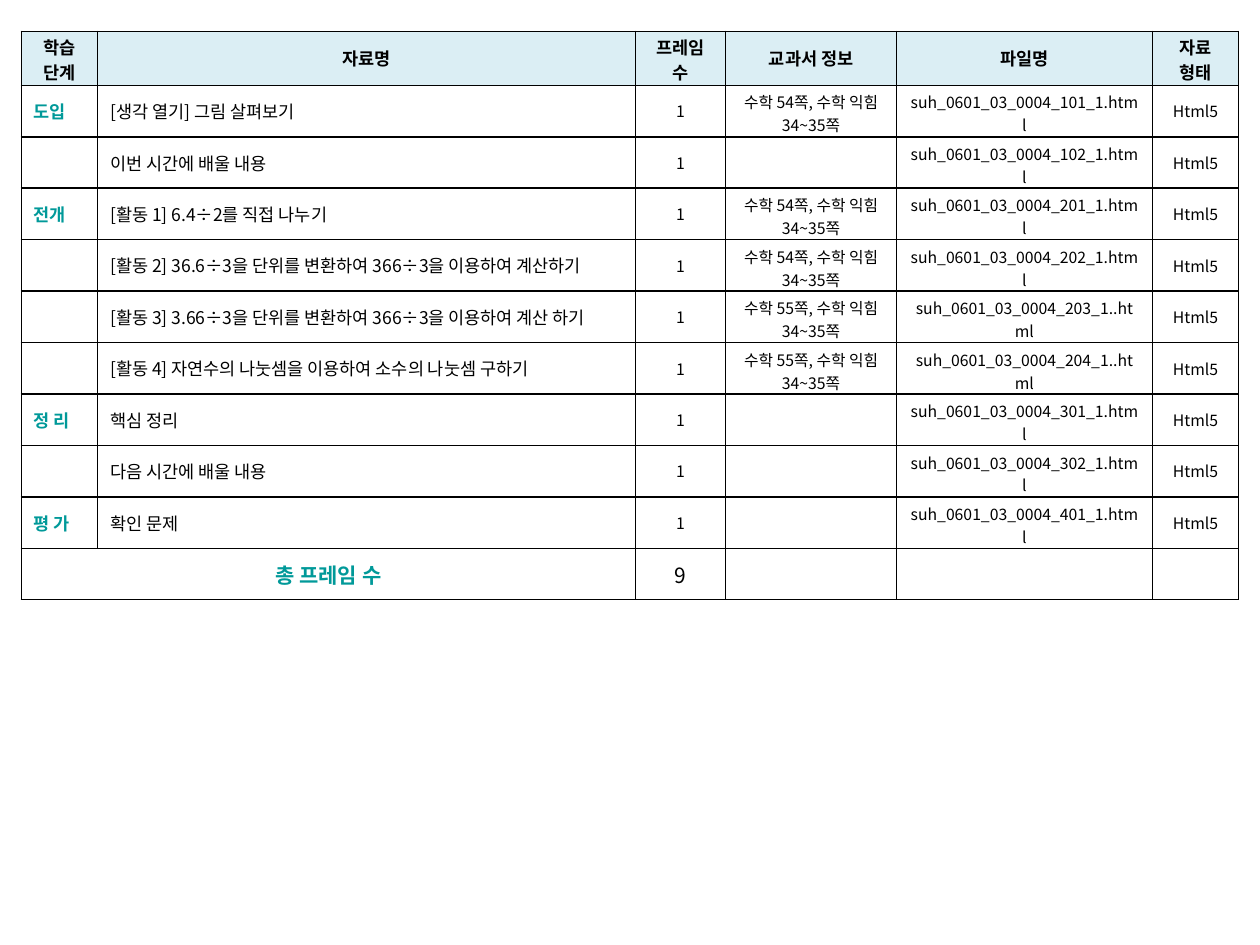
from lxml import etree
from pptx import Presentation
from pptx import util as u
from pptx.dml.color import RGBColor
from pptx.enum import text
from pptx.oxml.ns import qn

FONT = "Noto Sans CJK KR"
BLACK = RGBColor(0, 0, 0)
TEAL = RGBColor(0x00, 0x99, 0x99)
HEADER_FILL = RGBColor(0xDB, 0xEE, 0xF4)

# Content: stage, material, textbook pages, file name
HEADERS = ["학습 단계", "자료명", "프레임 수", "교과서 정보", "파일명", "자료\n형태"]
PAGES_54 = "수학 54쪽, 수학 익힘 34~35쪽"
PAGES_55 = "수학 55쪽, 수학 익힘 34~35쪽"
LESSONS = [
    ("도입", "[생각 열기] 그림 살펴보기", PAGES_54, "suh_0601_03_0004_101_1.html"),
    ("", "이번 시간에 배울 내용", "", "suh_0601_03_0004_102_1.html"),
    ("전개", "[활동 1] 6.4÷2를 직접 나누기", PAGES_54, "suh_0601_03_0004_201_1.html"),
    ("", "[활동 2] 36.6÷3을 단위를 변환하여 366÷3을 이용하여 계산하기", PAGES_54,
     "suh_0601_03_0004_202_1.html"),
    ("", "[활동 3] 3.66÷3을 단위를 변환하여 366÷3을 이용하여 계산 하기", PAGES_55,
     "suh_0601_03_0004_203_1..html"),
    ("", "[활동 4] 자연수의 나눗셈을 이용하여 소수의 나눗셈 구하기", PAGES_55,
     "suh_0601_03_0004_204_1..html"),
    ("정 리", "핵심 정리", "", "suh_0601_03_0004_301_1.html"),
    ("", "다음 시간에 배울 내용", "", "suh_0601_03_0004_302_1.html"),
    ("평 가", "확인 문제", "", "suh_0601_03_0004_401_1.html"),
]
TOTAL = ["총 프레임 수", "", str(len(LESSONS)), "", "", ""]

# Column styles: alignment, size, colour, bold
AL = text.PP_ALIGN
HEADER_STYLE = (AL.CENTER, 10, BLACK, True)
CENTERED = (AL.CENTER, 9, BLACK, False)
BODY_STYLES = [(AL.JUSTIFY, 10, TEAL, True), (AL.LEFT, 10, BLACK, False)] + [CENTERED] * 4
TOTAL_STYLES = [(AL.CENTER, 12, TEAL, True)] * 2 + [(AL.CENTER, 12, BLACK, False)] * 4

# Geometry in centimetres
LEFT, TOP, HEIGHT = 0.43, 0.63, 11.46
COLS = [1.54, 10.84, 1.82, 3.44, 5.16, 1.74]
HEADER_H = 1.09

# Top margin of the columns whose text takes two lines
HEADER_TIGHT = {0: 0.05, 2: 0.05, 5: 0.05}
BODY_TIGHT = {3: 0.1, 4: 0.1}


def set_borders(cell):
    tc_pr = cell._tc.get_or_add_tcPr()
    for i, side in enumerate(("lnL", "lnR", "lnT", "lnB")):
        ln = etree.Element(qn("a:" + side), w=str(u.Pt(1)))
        fill = etree.SubElement(ln, qn("a:solidFill"))
        etree.SubElement(fill, qn("a:srgbClr"), val=str(BLACK))
        tc_pr.insert(i, ln)


def fill_cell(cell, words, style):
    align, size, color, bold = style
    cell.vertical_anchor = text.MSO_ANCHOR.MIDDLE
    cell.text = words
    for p in cell.text_frame.paragraphs:
        p.alignment = align
        f = p.font
        f.name, f.size, f.bold = FONT, u.Pt(size), bold
        f.color.rgb = color
        if not words:  # keeps empty rows from growing
            etree.SubElement(p._p, qn("a:endParaRPr"), sz=str(size * 100))


prs = Presentation()
prs.slide_width, prs.slide_height = u.Cm(25.4), u.Cm(19.05)
s = prs.slides.add_slide(prs.slide_layouts[6])

rows = [(HEADERS, [HEADER_STYLE] * len(COLS), HEADER_TIGHT)]
rows += [([stage, name, "1", pages, file, "Html5"], BODY_STYLES, BODY_TIGHT)
         for stage, name, pages, file in LESSONS]
rows.append((TOTAL, TOTAL_STYLES, {}))

# Table grid
table = s.shapes.add_table(len(rows), len(COLS), u.Cm(LEFT), u.Cm(TOP),
                           u.Cm(sum(COLS)), u.Cm(HEIGHT)).table
table.first_row = table.horz_banding = False
for col, width in zip(table.columns, COLS):
    col.width = u.Cm(width)
body_h = (HEIGHT - HEADER_H) / (len(rows) - 1)
for i, row in enumerate(table.rows):
    row.height = u.Cm(body_h if i else HEADER_H)

# Cells
for i, (words, styles, tight) in enumerate(rows):
    for j, (word, style) in enumerate(zip(words, styles)):
        cell = table.cell(i, j)
        fill_cell(cell, word, style)
        if j in tight:
            cell.margin_top, cell.margin_bottom = u.Cm(tight[j]), 0
        if i == 0:
            cell.fill.solid()
            cell.fill.fore_color.rgb = HEADER_FILL
        else:
            cell.fill.background()
        set_borders(cell)
last = len(rows) - 1
table.cell(last, 0).merge(table.cell(last, 1))

prs.save("out.pptx")
